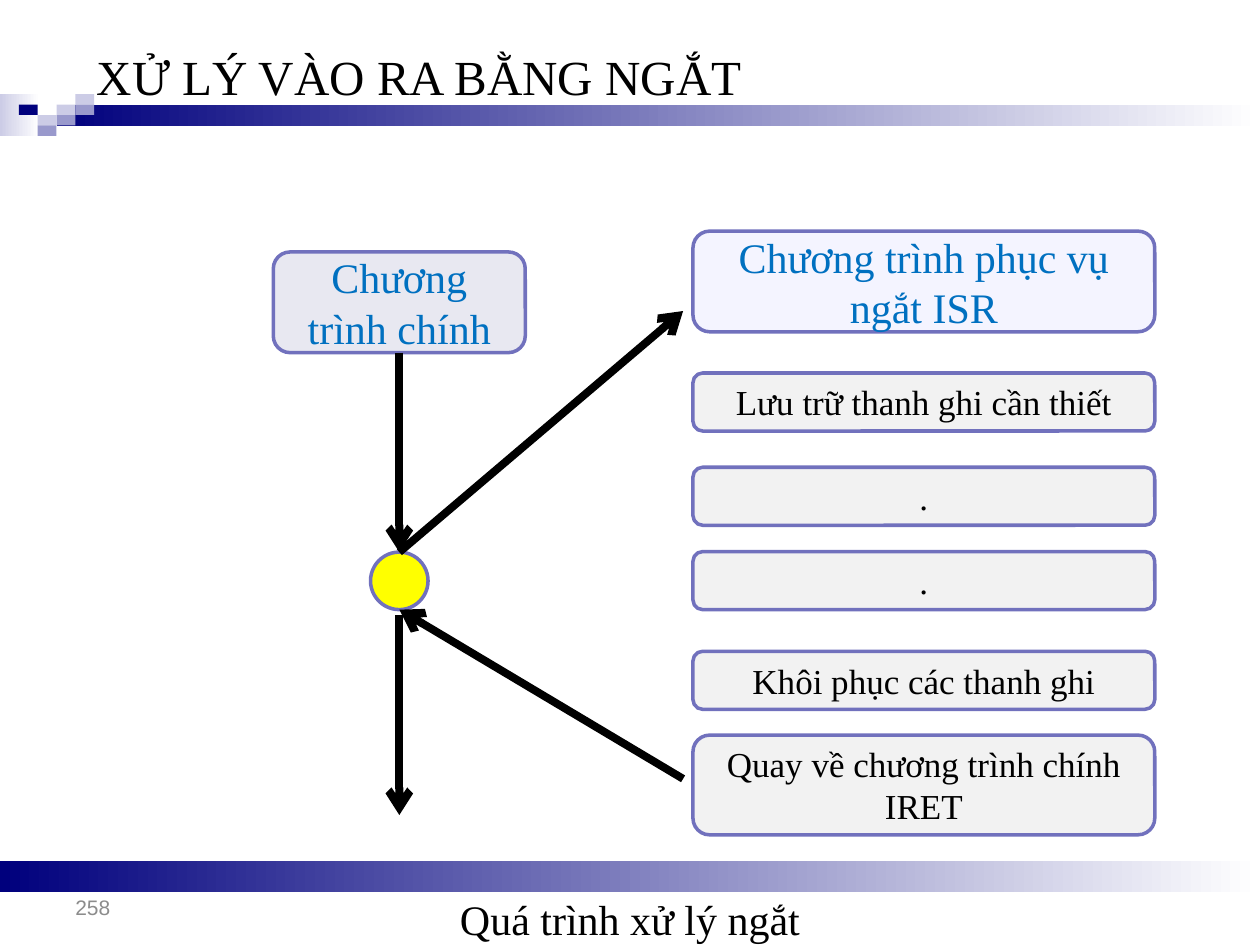
from dataclasses import dataclass
from lxml import etree
from pptx import Presentation
from pptx import util as u
from pptx.dml.color import RGBColor
from pptx.enum import shapes, text
from pptx.oxml import ns

Kind = shapes.MSO_SHAPE
Align = text.PP_ALIGN
Anchor = text.MSO_ANCHOR


@dataclass(frozen=True)
class Theme:
    serif: str = "Times New Roman"
    sans: str = "Arial"
    navy: str = "00007D"
    mid: str = "9999CC"
    light: str = "CCCCE6"
    edge: str = "7171BD"
    main: str = "E8E8F1"
    isr: str = "F4F4FF"
    step: str = "F2F2F2"
    dot: str = "FFFF00"
    blue: str = "0070C0"
    black: str = "000000"
    white: str = "FFFFFF"
    grey: str = "8C8C8C"
    title: int = 28
    head: int = 24
    body: int = 20
    small: int = 12


T = Theme()


def rgb(code):
    return RGBColor.from_string(code)


def assign(obj, **vals):
    for key, val in vals.items():
        setattr(obj, key, val)


def place(shape, x, y, w, h):
    assign(shape, left=u.Cm(x), top=u.Cm(y), width=u.Cm(w), height=u.Cm(h))


def write(shape, words, size, color, face=T.serif, align=Align.CENTER,
          anchor=Anchor.MIDDLE, space=1.0):
    frame = shape.text_frame
    frame.text = words
    assign(frame, word_wrap=True, auto_size=text.MSO_AUTO_SIZE.NONE,
           vertical_anchor=anchor, margin_left=u.Cm(0.25),
           margin_right=u.Cm(0.25), margin_top=u.Cm(0.13),
           margin_bottom=u.Cm(0.13))
    para = frame.paragraphs[0]
    assign(para, alignment=align, line_spacing=space)
    font = para.runs[0].font
    assign(font, name=face, size=u.Pt(size))
    font.color.rgb = rgb(color)


def label(slide, box, *args, **style):
    shape = slide.shapes.add_textbox(*map(u.Cm, box))
    write(shape, *args, **style)


def block(slide, box, fill, kind=Kind.RECTANGLE, edge=None):
    shape = slide.shapes.add_shape(kind, *map(u.Cm, box))
    shape.shadow.inherit = False
    shape.fill.solid()
    shape.fill.fore_color.rgb = rgb(fill)
    if edge:
        shape.line.color.rgb = rgb(edge)
        shape.line.width = u.Pt(2)
    else:
        shape.line.fill.background()
    return shape


def fade(slide, box, start):
    shape = block(slide, box, start)
    shape.fill.gradient()
    shape.fill.gradient_angle = 0
    for stop, code, pos in zip(shape.fill.gradient_stops,
                               (start, T.white), (0, 1)):
        stop.color.rgb = rgb(code)
        stop.position = pos


def panel(slide, box, fill, words, size, color):
    shape = block(slide, box, fill, Kind.ROUNDED_RECTANGLE, T.edge)
    write(shape, words, size, color)
    return shape


def arrow(slide, x1, y1, x2, y2):
    line = slide.shapes.add_connector(
        shapes.MSO_CONNECTOR.STRAIGHT, *map(u.Cm, (x1, y1, x2, y2)))
    line.line.color.rgb = rgb(T.black)
    line.line.width = u.Pt(4.5)
    etree.SubElement(line.line._get_or_add_ln(), ns.qn("a:tailEnd"),
                     type="arrow")
    etree.SubElement(line._element.spPr, ns.qn("a:effectLst"))
    return line


def frame(slide):
    # Header band with its mosaic, laid on a grid of small tiles
    fade(slide, (0, 1.9, 0.79, 0.84), T.light)
    fade(slide, (1.14, 2.11, 24.26, 0.43), T.navy)
    tiles = {T.light: [(3, 1), (4, 0), (2, 2)],
             T.mid: [(4, 1), (3, 2), (2, 3)],
             T.navy: [(1, 1)]}
    for color, cells in tiles.items():
        for col, row in cells:
            block(slide, (0.38 * col, 1.9 + 0.21 * row, 0.38, 0.21), color)
    # Footer band
    fade(slide, (0, 17.35, 25.4, 0.63), T.navy)


def flow(slide):
    # Main program and the point where it is interrupted
    mid = 8.05
    main = panel(slide, (mid - 2.54, 5.08, 5.08, 2.03), T.main,
                 "Chương trình chính", T.head, T.blue)
    dot = block(slide, (mid - 0.58, 11.13, 1.16, 1.16), T.dot,
                Kind.OVAL, T.edge)

    # Service routine
    panel(slide, (13.97, 4.66, 9.31, 2.03), T.isr,
          "Chương trình phục vụ ngắt ISR", T.head, T.blue)
    steps = [(7.52, 1.17, "Lưu trữ thanh ghi cần thiết"),
             (9.42, 1.17, "."),
             (11.12, 1.17, "."),
             (13.13, 1.17, "Khôi phục các thanh ghi"),
             (14.82, 2.01, "Quay về chương trình chính IRET")]
    for top, tall, words in steps:
        panel(slide, (13.97, top, 9.31, tall), T.step, words,
              T.body, T.black)

    # Course of control
    down = arrow(slide, mid, 7.11, mid, 11.13)
    down.begin_connect(main, 2)
    down.end_connect(dot, 0)
    arrow(slide, mid, 12.4, mid, 16.43)
    arrow(slide, mid, 11.13, 13.77, 6.27)
    arrow(slide, 13.77, 15.7, mid, 12.29)


def main():
    prs = Presentation()
    assign(prs, slide_width=u.Cm(25.4), slide_height=u.Cm(19.05))
    slide = prs.slides.add_slide(prs.slide_layouts[5])
    frame(slide)

    # Title, page number and caption
    title = slide.shapes.title
    place(title, 1.7, 0.46, 22.86, 1.7)
    write(title, "XỬ LÝ VÀO RA BẰNG NGẮT", T.title, T.black,
          align=Align.LEFT, anchor=Anchor.TOP, space=1.3)
    label(slide, (1.27, 17.35, 5.92, 1.32), "258", T.small, T.grey,
          face=T.sans, align=Align.LEFT, anchor=Anchor.BOTTOM)
    label(slide, (0.85, 17.37, 23.7, 1.98), "Quá trình xử lý ngắt",
          T.head, T.black, anchor=Anchor.TOP, space=1.5)

    flow(slide)
    prs.save("out.pptx")


if __name__ == "__main__":
    main()
